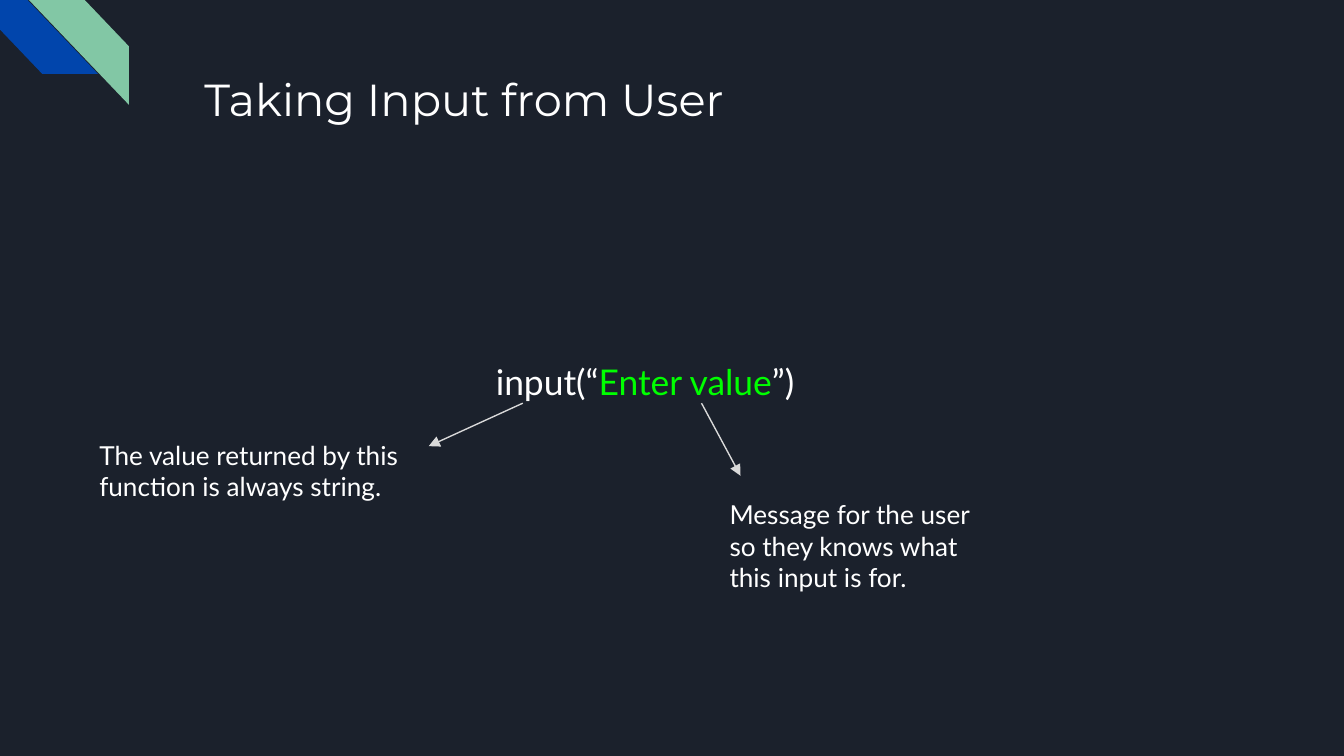
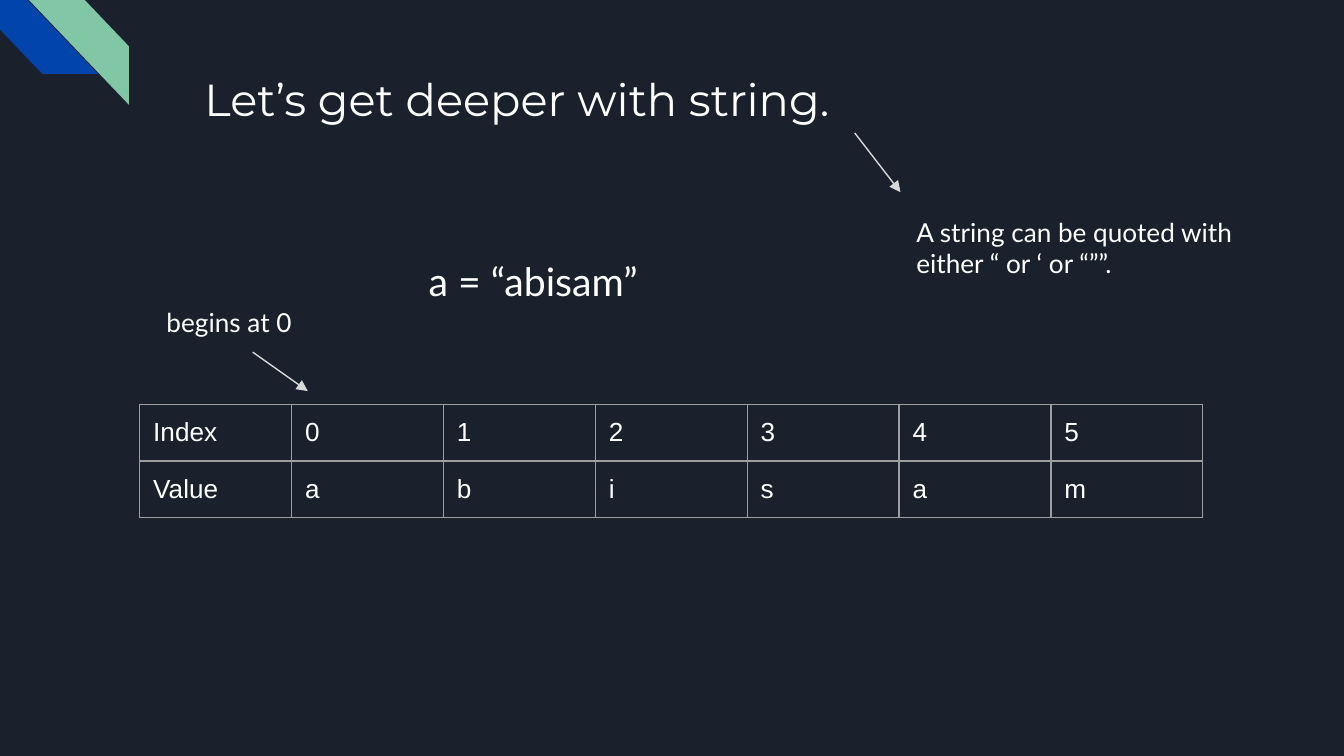
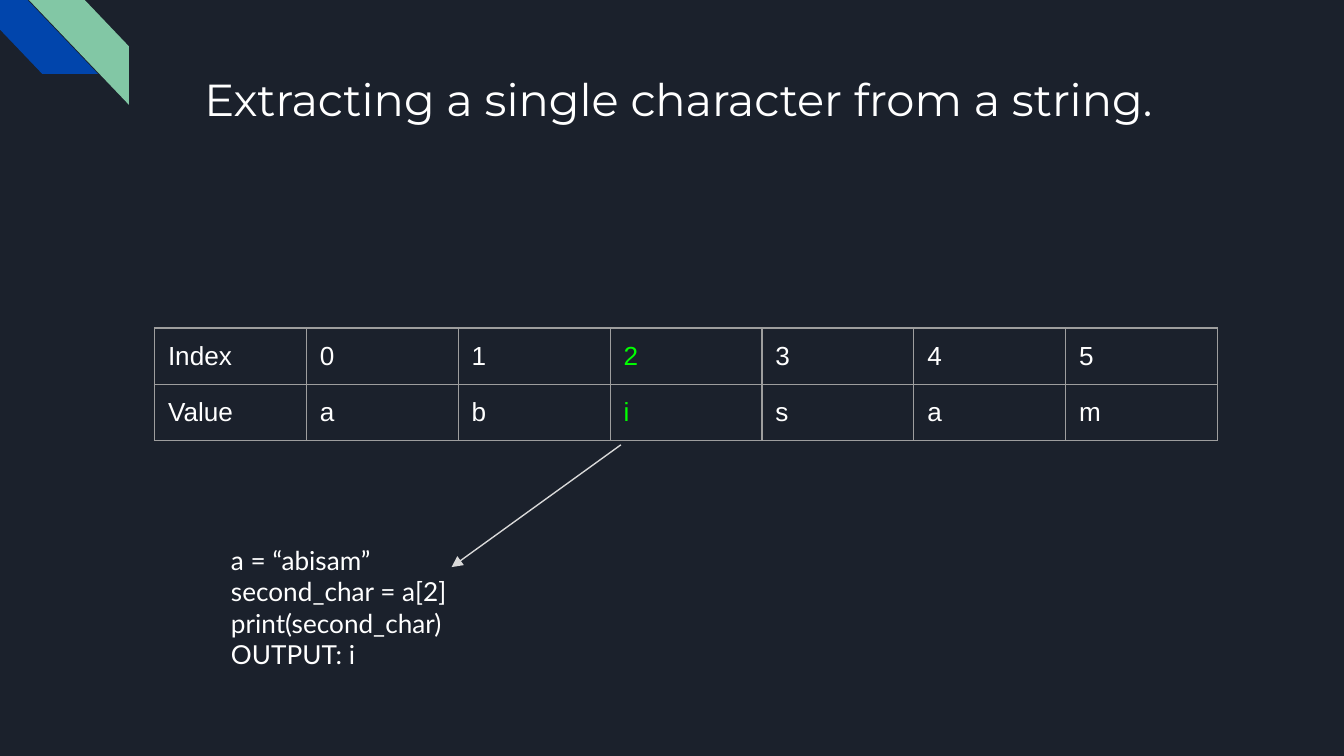
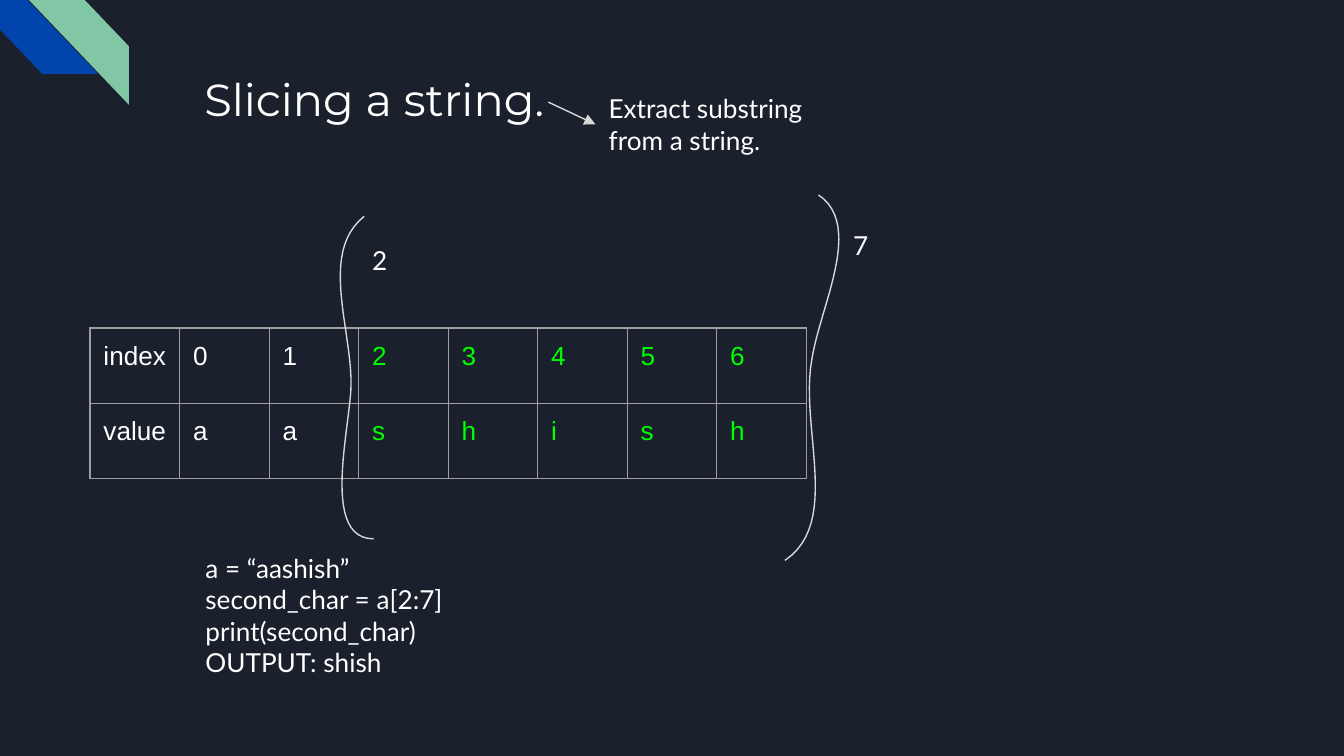
from dataclasses import dataclass
from typing import Optional

import lxml.etree
import pptx
import pptx.dml.color
import pptx.enum.shapes
import pptx.enum.text
import pptx.oxml.ns
import pptx.util

Inches = pptx.util.Inches
Pt = pptx.util.Pt
qn = pptx.oxml.ns.qn
ALIGN = pptx.enum.text.PP_ALIGN
SHAPE = pptx.enum.shapes.MSO_SHAPE

COLORS = {
    "background": "1B212C",
    "blue": "0145AC",
    "green": "82C7A5",
    "text": "FFFFFF",
    "highlight": "00FF00",
    "line": "D9D9D9",
    "border": "9E9E9E",
}
TITLE_BOX = (1.42, 0.43, 7.7, 1)
TITLE_ONLY = 5
INSET = Inches(0.1)
LINE_WIDTH = Pt(0.75)
CURVE_STEPS = 24


@dataclass
class Stripe:
    box: tuple
    color: str
    rotation: float = 0
    flipped: bool = False


@dataclass
class Note:
    box: tuple
    text: str
    size: float = 14
    highlight: str = ""
    align: ALIGN = ALIGN.LEFT
    spacing: float = 1.0
    after: float = 0


@dataclass
class Arrow:
    start: tuple
    end: tuple
    note: Optional[int] = None


@dataclass
class Grid:
    left: float
    top: float
    width: float
    row_height: float
    labels: tuple
    word: str
    highlighted: tuple = ()


@dataclass
class Lesson:
    title: str
    notes: tuple
    arrows: tuple
    grid: Optional[Grid] = None
    curves: tuple = ()


STRIPES = (
    Stripe((-0.12, -0.3, 0.87, 0.83), "blue", rotation=270),
    Stripe((0.13, -0.09, 0.83, 0.87), "green", flipped=True),
)

LESSONS = (
    Lesson(
        "Taking Input from User",
        notes=(
            Note((2.58, 2.53, 4.44, 0.56), "input(“Enter value”)", size=19,
                 highlight="Enter value", align=ALIGN.CENTER, spacing=1.15, after=12),
            Note((5.33, 3.61, 2.06, 0.91),
                 "Message for the user so they knows what this input is for."),
            Note((0.64, 3.17, 2.75, 0.67),
                 "The value returned by this function is always string."),
        ),
        arrows=(Arrow((5.22, 3), (5.51, 3.54)), Arrow((3.89, 3), (3.19, 3.32))),
    ),
    Lesson(
        "Let’s get deeper with string.",
        notes=(
            Note((3.09, 1.76, 2.65, 0.92), "a = “abisam”", size=21,
                 spacing=1.15, after=12),
            Note((1.14, 2.18, 1.19, 0.44), "begins at 0"),
            Note((6.72, 1.51, 2.74, 0.67),
                 "A string can be quoted with either “ or ‘ or “””."),
        ),
        arrows=(Arrow((1.88, 2.62), (2.29, 2.91)), Arrow((6.36, 0.99), (6.7, 1.43))),
        grid=Grid(1.04, 3.01, 7.91, 0.42, ("Index", "Value"), "abisam"),
    ),
    Lesson(
        "Extracting a single character from a string.",
        notes=(
            Note((1.62, 3.95, 8.02, 1.14),
                 "a = “abisam”\nsecond_char = a[2]\nprint(second_char)\nOUTPUT: i"),
        ),
        arrows=(Arrow((4.62, 3.31), (3.36, 4.22)),),
        grid=Grid(1.15, 2.44, 7.91, 0.42, ("Index", "Value"), "abisam", (2,)),
    ),
    Lesson(
        "Slicing a string.",
        notes=(
            Note((4.43, 0.59, 2.01, 0.67), "Extract substring from a string."),
            Note((1.43, 4.01, 8.02, 1.14),
                 "a = “aashish”\nsecond_char = a[2:7]\nprint(second_char)\nOUTPUT: shish"),
            Note((6.25, 1.61, 0.59, 0.44), "7"),
            Note((2.67, 1.72, 0.59, 0.44), "2"),
        ),
        arrows=(Arrow((4.08, 0.76), (4.43, 0.93), note=0),),
        grid=Grid(0.67, 2.44, 5.33, 0.56, ("index", "value"), "aashish", (2, 3, 4, 5, 6)),
        curves=(
            ((2.71, 1.61), (2.36, 1.89), (2.64, 2.49), (2.61, 2.92),
             (2.58, 3.29), (2.41, 4.01), (2.78, 4.01)),
            ((6.09, 1.45), (6.43, 1.68), (6.1, 2.28), (6.04, 2.68),
             (5.95, 3.18), (6.26, 3.89), (5.84, 4.17)),
        ),
    ),
)


def rgb(name: str) -> pptx.dml.color.RGBColor:
    return pptx.dml.color.RGBColor.from_string(COLORS[name])


def inches(values: tuple) -> list:
    return [Inches(v) for v in values]


def write(tf, text: str, *, size: float = 14, font: str = "Lato", color: str = "text",
          highlight: str = "", align: ALIGN = ALIGN.LEFT, spacing: float = 1.0,
          after: float = 0) -> None:
    for i, line in enumerate(text.split("\n")):
        p = tf.add_paragraph() if i else tf.paragraphs[0]
        p.alignment = align
        p.line_spacing = spacing
        p.space_before = Pt(0)
        p.space_after = Pt(after)
        for part in line.partition(highlight) if highlight else (line,):
            r = p.add_run()
            r.text = part
            r.font.size = Pt(size)
            r.font.name = font
            r.font.color.rgb = rgb("highlight" if part == highlight else color)


def set_frame(tf) -> None:
    tf.word_wrap = True
    tf.auto_size = pptx.enum.text.MSO_AUTO_SIZE.NONE
    tf.vertical_anchor = pptx.enum.text.MSO_ANCHOR.TOP
    tf.margin_left = tf.margin_right = tf.margin_top = tf.margin_bottom = INSET


def add_stripe(s, stripe: Stripe) -> None:
    sp = s.shapes.add_shape(SHAPE.DIAGONAL_STRIPE, *inches(stripe.box))
    sp.shadow.inherit = False
    sp.adjustments[0] = 0.5
    sp.rotation = stripe.rotation
    sp.fill.solid()
    sp.fill.fore_color.rgb = rgb(stripe.color)
    sp.line.fill.background()
    if stripe.flipped:
        sp._element.spPr.find(qn("a:xfrm")).set("flipH", "1")


def add_title(s, text: str) -> None:
    sp = s.shapes.title
    sp.left, sp.top, sp.width, sp.height = inches(TITLE_BOX)
    set_frame(sp.text_frame)
    write(sp.text_frame, text, size=24, font="Montserrat")


def add_note(s, note: Note):
    sp = s.shapes.add_textbox(*inches(note.box))
    set_frame(sp.text_frame)
    write(sp.text_frame, note.text, size=note.size, highlight=note.highlight,
          align=note.align, spacing=note.spacing, after=note.after)
    return sp


def style_line(line) -> None:
    line.color.rgb = rgb("line")
    line.width = LINE_WIDTH


def add_arrow(s, arrow: Arrow, boxes: list) -> None:
    c = s.shapes.add_connector(pptx.enum.shapes.MSO_CONNECTOR.STRAIGHT,
                               *inches(arrow.start + arrow.end))
    if arrow.note is not None:
        c.end_connect(boxes[arrow.note], 1)
    style_line(c.line)
    spPr = c._element.spPr
    lxml.etree.SubElement(spPr.find(qn("a:ln")), qn("a:tailEnd"), type="triangle")
    lxml.etree.SubElement(spPr, qn("a:effectLst"))


def set_borders(cell) -> None:
    tcPr = cell._tc.get_or_add_tcPr()
    for i, side in enumerate(("lnL", "lnR", "lnT", "lnB")):
        ln = lxml.etree.Element(qn(f"a:{side}"), w=str(int(LINE_WIDTH)))
        fill = lxml.etree.SubElement(ln, qn("a:solidFill"))
        lxml.etree.SubElement(fill, qn("a:srgbClr"), val=COLORS["border"])
        tcPr.insert(i, ln)


def add_grid(s, grid: Grid) -> None:
    index_label, value_label = grid.labels
    rows = ([index_label, *map(str, range(len(grid.word)))], [value_label, *grid.word])
    table = s.shapes.add_table(len(rows), len(rows[0]), *inches(
        (grid.left, grid.top, grid.width, len(rows) * grid.row_height))).table
    for i, values in enumerate(rows):
        for j, value in enumerate(values):
            cell = table.cell(i, j)
            cell.margin_left = cell.margin_right = INSET
            cell.margin_top = cell.margin_bottom = INSET
            cell.fill.background()
            set_borders(cell)
            write(cell.text_frame, value, font="Arial",
                  color="highlight" if j - 1 in grid.highlighted else "text")


def bezier(a: tuple, b: tuple, c: tuple, d: tuple, t: float) -> tuple:
    u = 1 - t
    return tuple(Inches(u**3 * p + 3 * u * u * t * q + 3 * u * t * t * v + t**3 * w)
                 for p, q, v, w in zip(a, b, c, d))


def add_curve(s, controls: tuple) -> None:
    points = [bezier(*controls[i:i + 4], step / CURVE_STEPS)
              for i in range(0, len(controls) - 1, 3)
              for step in range(1, CURVE_STEPS + 1)]
    builder = s.shapes.build_freeform(*inches(controls[0]))
    builder.add_line_segments(points, close=False)
    sp = builder.convert_to_shape()
    sp.shadow.inherit = False
    sp.fill.background()
    style_line(sp.line)


def add_lesson(prs, lesson: Lesson) -> None:
    s = prs.slides.add_slide(prs.slide_layouts[TITLE_ONLY])
    for stripe in STRIPES:
        add_stripe(s, stripe)
    add_title(s, lesson.title)
    if lesson.grid:
        add_grid(s, lesson.grid)
    boxes = [add_note(s, note) for note in lesson.notes]
    for controls in lesson.curves:
        add_curve(s, controls)
    for arrow in lesson.arrows:
        add_arrow(s, arrow, boxes)


def main() -> None:
    prs = pptx.Presentation()
    prs.slide_width = Inches(10)
    prs.slide_height = Inches(10 * 9 / 16)
    fill = prs.slide_master.background.fill
    fill.solid()
    fill.fore_color.rgb = rgb("background")
    for lesson in LESSONS:
        add_lesson(prs, lesson)
    prs.save("out.pptx")


if __name__ == "__main__":
    main()
